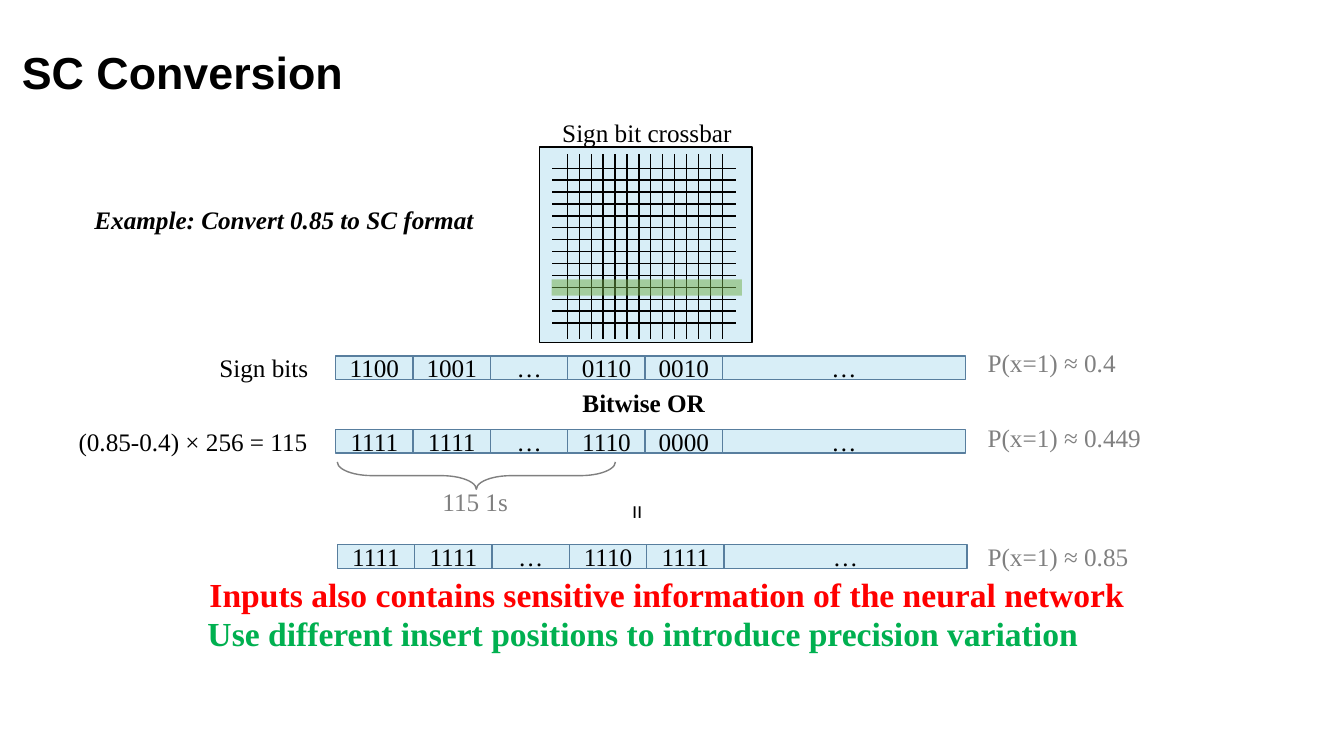
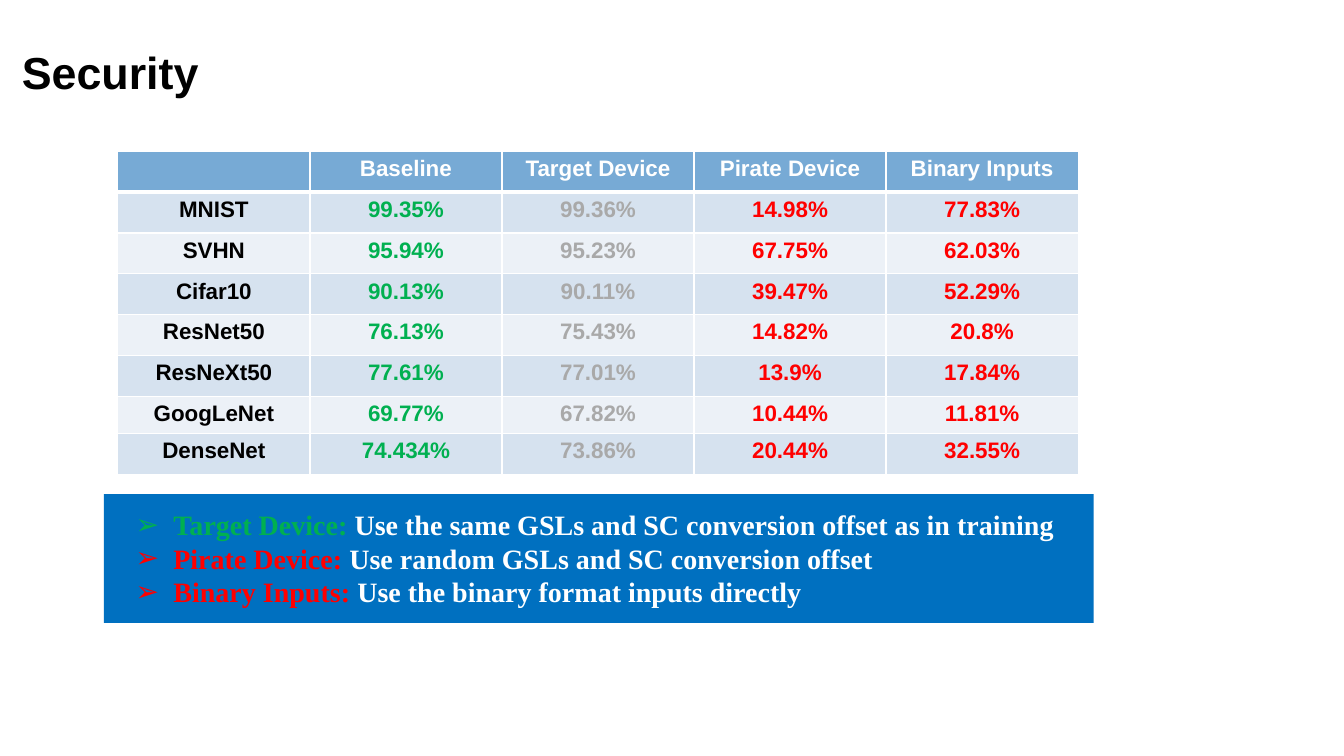
from dataclasses import dataclass

from lxml import etree
from pptx import Presentation
from pptx.dml.color import RGBColor
from pptx.enum.shapes import MSO_CONNECTOR, MSO_SHAPE
from pptx.enum.text import MSO_ANCHOR, PP_ALIGN
from pptx.oxml.ns import qn
from pptx.shapes.autoshape import Shape
from pptx.shapes.shapetree import GroupShapes, SlideShapes
from pptx.slide import Slide
from pptx.table import _Cell as Cell
from pptx.text.text import _Paragraph as Para
from pptx.util import Cm, Pt

RECT = MSO_SHAPE.RECTANGLE
BRACE = MSO_SHAPE.LEFT_BRACE
LINE = MSO_CONNECTOR.STRAIGHT
CENTER = PP_ALIGN.CENTER
MIDDLE = MSO_ANCHOR.MIDDLE

SERIF = "Times New Roman"
SANS = "Arial"
COLORS = {
    "black": "000000", "white": "FFFFFF", "gray": "808080", "silver": "A9A9A9",
    "red": "FF0000", "green": "00B050", "leaf": "70AD47", "blue": "0070C0",
    "pale": "D8EEF7", "steel": "587E9E",
    "head": "77AAD5", "dark": "D6E2EF", "light": "ECF1F7",
}

Shapes = SlideShapes | GroupShapes


@dataclass(frozen=True)
class Box:
    """A frame in centimetres."""
    x: float
    y: float
    w: float
    h: float

    def cm(self) -> tuple[Cm, Cm, Cm, Cm]:
        return Cm(self.x), Cm(self.y), Cm(self.w), Cm(self.h)


@dataclass(frozen=True)
class Style:
    size: int = 18
    color: str = "black"
    bold: bool = False
    slant: bool = False
    font: str = SERIF


@dataclass(frozen=True)
class Label:
    text: str
    box: Box
    style: Style = Style()
    turn: int = 0


@dataclass(frozen=True)
class Strip:
    """A row of bit cells."""
    x: float
    y: float
    bits: tuple[str, ...]


@dataclass(frozen=True)
class Point:
    term: str
    color: str
    text: str


TITLE = Style(32, bold=True, font=SANS)
GRAY = Style(color="gray")
BOLD = Style(bold=True)

GRID = Box(13.59, 3.71, 5.36, 4.93)
MESH = Box(13.92, 3.89, 4.62, 4.64)
WIRES, PITCH = 14, 0.3
FIRST_X, FIRST_Y = 14.3, 4.24

NARROW, WIDE, TALL = 1.95, 6.12, 0.6
STRIPS = [
    Strip(8.46, 8.97, ("1100", "1001", "…", "0110", "0010", "…")),
    Strip(8.46, 10.82, ("1111", "1111", "…", "1110", "0000", "…")),
    Strip(8.5, 13.72, ("1111", "1111", "…", "1110", "1111", "…")),
]
LABELS = [
    Label("Sign bit crossbar", Box(13.92, 2.82, 5, 1.02)),
    Label("Example: Convert 0.85 to SC format", Box(2.13, 5.03, 10.8, 1.02),
          Style(bold=True, slant=True)),
    Label("Sign bits", Box(5.28, 8.76, 3, 1.02)),
    Label("P(x=1) ≈ 0.4", Box(24.64, 8.64, 5, 1.02), GRAY),
    Label("Bitwise OR", Box(14.43, 9.63, 4, 1.02), BOLD),
    Label("(0.85-0.4) × 256 = 115", Box(1.73, 10.62, 6.6, 1.02)),
    Label("P(x=1) ≈ 0.449", Box(24.64, 10.52, 5, 1.02), GRAY),
    Label("115 1s", Box(10.9, 12.14, 2.5, 1.02), GRAY),
    Label("=", Box(15.67, 12.42, 0.86, 1.02), BOLD, 90),
    Label("P(x=1) ≈ 0.85", Box(24.64, 13.51, 5, 1.02), GRAY),
    Label("Use different insert positions to introduce precision variation",
          Box(4.98, 15.32, 24, 1.27), Style(24, "green", True)),
    Label("Inputs also contains sensitive information of the neural network",
          Box(5.03, 14.33, 25, 1.27), Style(24, "red", True)),
]

TABLE = Box(2.97, 3.81, 24.2, 8.13)
ROW, SHORT = 1.03, 0.9
TIGHT = "GoogLeNet"
INKS = ("black", "green", "silver", "red", "red")
ROWS = [
    ("", "Baseline", "Target Device", "Pirate Device", "Binary Inputs"),
    ("MNIST", "99.35%", "99.36%", "14.98%", "77.83%"),
    ("SVHN", "95.94%", "95.23%", "67.75%", "62.03%"),
    ("Cifar10", "90.13%", "90.11%", "39.47%", "52.29%"),
    ("ResNet50", "76.13%", "75.43%", "14.82%", "20.8%"),
    ("ResNeXt50", "77.61%", "77.01%", "13.9%", "17.84%"),
    (TIGHT, "69.77%", "67.82%", "10.44%", "11.81%"),
    ("DenseNet", "74.434%", "73.86%", "20.44%", "32.55%"),
]
POINTS = [
    Point("Target Device: ", "green",
          "Use the same GSLs and SC conversion offset as in training"),
    Point("Pirate Device: ", "red", "Use random GSLs and SC conversion offset"),
    Point("Binary Inputs: ", "red", "Use the binary format inputs directly"),
]


def rgb(name: str) -> RGBColor:
    return RGBColor.from_string(COLORS[name])


def add_run(para: Para, text: str, style: Style) -> None:
    run = para.add_run()
    run.text = text
    font = run.font
    font.name, font.size = style.font, Pt(style.size)
    font.bold, font.italic = style.bold, style.slant
    font.color.rgb = rgb(style.color)


def add_label(shapes: Shapes, label: Label) -> Shape:
    text = shapes.add_textbox(*label.box.cm())
    text.rotation = label.turn
    text.text_frame.word_wrap = True
    add_run(text.text_frame.paragraphs[0], label.text, label.style)
    return text


def add_title(slide: Slide, text: str) -> None:
    frame = add_label(slide.shapes, Label(text, Box(0.3, 0.97, 33, 1.83), TITLE)).text_frame
    frame.vertical_anchor = MIDDLE
    frame.paragraphs[0].line_spacing = 0.9


def add_form(shapes: Shapes, box: Box, fill: str | None,
             edge: str | None = None, kind: MSO_SHAPE = RECT) -> Shape:
    form = shapes.add_shape(kind, *box.cm())
    form.shadow.inherit = False
    if fill:
        form.fill.solid()
        form.fill.fore_color.rgb = rgb(fill)
    else:
        form.fill.background()
    if edge:
        form.line.color.rgb = rgb(edge)
        form.line.width = Pt(1)
    else:
        form.line.fill.background()
    return form


def add_wire(shapes: Shapes, x1: float, y1: float, x2: float, y2: float) -> None:
    wire = shapes.add_connector(LINE, Cm(x1), Cm(y1), Cm(x2), Cm(y2))
    wire.line.color.rgb = rgb("black")
    wire.line.width = Pt(1)
    etree.SubElement(wire.element.find(qn("p:spPr")), qn("a:effectLst"))


def add_grid(slide: Slide) -> None:
    """Draw the crossbar and its marked row."""
    shapes = slide.shapes.add_group_shape().shapes
    add_form(shapes, GRID, "pale", "black")
    for i in range(WIRES):
        x, y = FIRST_X + i * PITCH, FIRST_Y + i * PITCH
        add_wire(shapes, MESH.x, y, MESH.x + MESH.w, y)
        add_wire(shapes, x, MESH.y, x, MESH.y + MESH.h)
    mark = add_form(slide.shapes, Box(13.9, 7.04, 4.8, 0.41), "leaf")
    tint = mark.element.find(".//" + qn("a:srgbClr"))
    etree.SubElement(tint, qn("a:alpha"), val="50000")


def add_strip(slide: Slide, strip: Strip) -> None:
    shapes = slide.shapes.add_group_shape().shapes
    last = len(strip.bits) - 1
    for i, bits in enumerate(strip.bits):
        width = WIDE if i == last else NARROW
        form = add_form(shapes, Box(strip.x + i * NARROW, strip.y, width, TALL),
                        "pale", "steel")
        frame = form.text_frame
        frame.vertical_anchor = MIDDLE
        para = frame.paragraphs[0]
        para.alignment = CENTER
        add_run(para, bits, Style())


def set_edge(cell: Cell, side: str, points: int) -> None:
    edge = etree.SubElement(cell._tc.get_or_add_tcPr(), qn("a:ln" + side),
                            w=str(Pt(points)))
    fill = etree.SubElement(edge, qn("a:solidFill"))
    etree.SubElement(fill, qn("a:srgbClr"), val=COLORS["white"])


def fill_cell(cell: Cell, text: str, fill: str, ink: str, base: int) -> None:
    """Style one cell; base is the width of its lower edge."""
    for side, points in (("L", 1), ("R", 1), ("T", 1), ("B", base)):
        set_edge(cell, side, points)
    cell.fill.solid()
    cell.fill.fore_color.rgb = rgb(fill)
    para = cell.text_frame.paragraphs[0]
    para.alignment = CENTER
    if text:
        add_run(para, text, Style(16, ink, True, font=SANS))


def add_scores(slide: Slide) -> None:
    table = slide.shapes.add_table(len(ROWS), len(INKS), *TABLE.cm()).table
    for col in table.columns:
        col.width = Cm(TABLE.w / len(INKS))
    for r, row in enumerate(ROWS):
        table.rows[r].height = Cm(SHORT if row[0] == TIGHT else ROW)
        fill = "head" if r == 0 else "dark" if r % 2 else "light"
        for c, text in enumerate(row):
            ink = INKS[c] if r else "white"
            fill_cell(table.cell(r, c), text, fill, ink, 1 if r else 3)


def add_points(slide: Slide) -> None:
    add_form(slide.shapes, Box(2.62, 12.45, 24.94, 3.25), "blue")
    frame = slide.shapes.add_textbox(*Box(1.88, 12.67, 25.4, 2.82).cm()).text_frame
    frame.word_wrap = True
    for i, point in enumerate(POINTS):
        para = frame.add_paragraph() if i else frame.paragraphs[0]
        para.level = 1
        props = para._p.get_or_add_pPr()
        props.set("marL", str(Cm(2.24)))
        props.set("indent", str(Cm(-0.95)))
        etree.SubElement(props, qn("a:buFont"), typeface=SANS)
        etree.SubElement(props, qn("a:buChar"), char="➢")
        add_run(para, point.term, Style(20, point.color, True))
        add_run(para, point.text, Style(20, "white", True))


def draw_bits(slide: Slide) -> None:
    add_title(slide, "SC Conversion")
    add_grid(slide)
    for strip in STRIPS:
        add_strip(slide, strip)
    brace = add_form(slide.shapes, Box(11.66, 8.48, 0.69, 7.01), None, "gray", BRACE)
    brace.rotation = 270
    brace.adjustments[0] = 1.28
    for label in LABELS:
        add_label(slide.shapes, label)


def draw_safe(slide: Slide) -> None:
    add_title(slide, "Security")
    add_scores(slide)
    add_points(slide)


def main() -> None:
    deck = Presentation()
    deck.slide_width, deck.slide_height = Cm(33.87), Cm(19.05)
    blank = deck.slide_layouts[6]
    for draw in (draw_bits, draw_safe):
        draw(deck.slides.add_slide(blank))
    deck.save("out.pptx")


if __name__ == "__main__":
    main()
